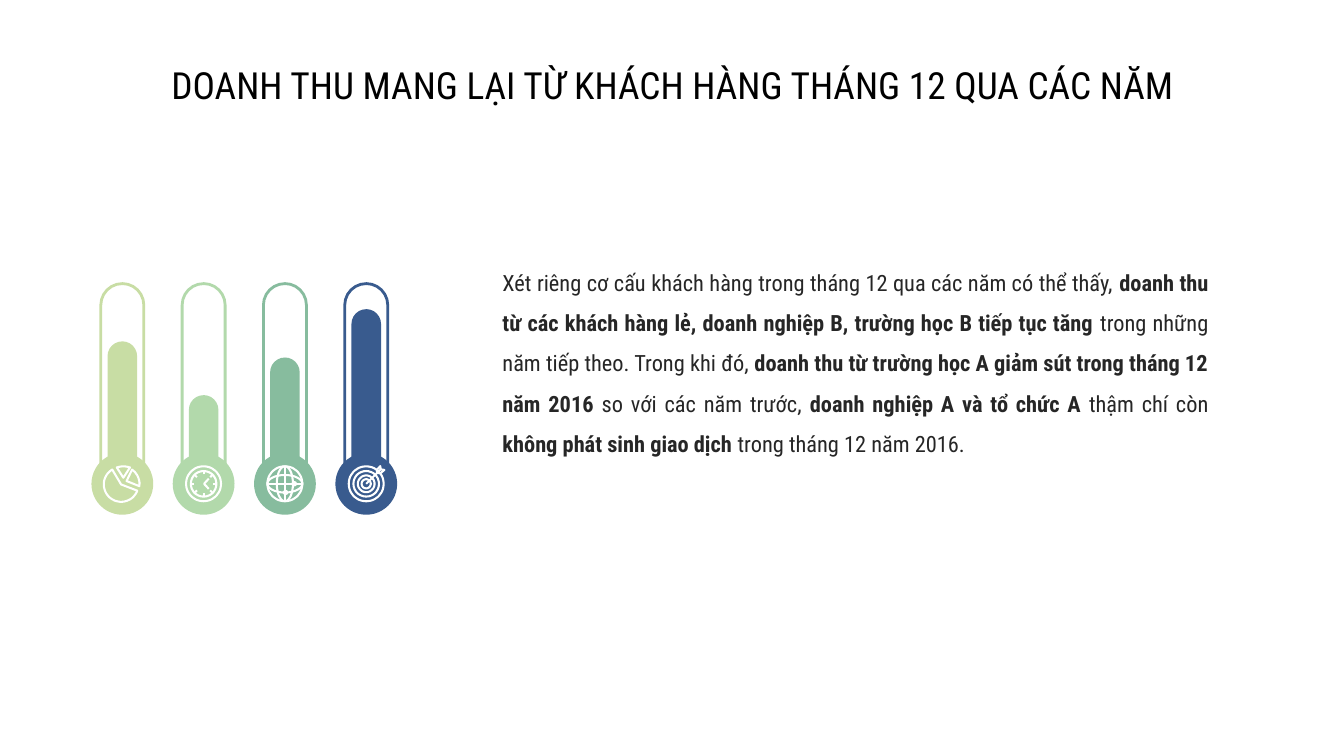
import math

import pptx
import pptx.dml.color
import pptx.enum.shapes
import pptx.enum.text
import pptx.util

Inches = pptx.util.Inches
Pt = pptx.util.Pt
RGBColor = pptx.dml.color.RGBColor
MSO_SHAPE = pptx.enum.shapes.MSO_SHAPE
PP_ALIGN = pptx.enum.text.PP_ALIGN

COLORS = {
    "lime": "C8DDA4",
    "mint": "B2D9AB",
    "green": "87BC9E",
    "blue": "395B8E",
    "white": "FFFFFF",
    "title": "000000",
    "body": "262626",
}
FONT = "Roboto Condensed"


def arc(x, y, width_radius, height_radius, start=0, end=360):
    """Points along an ellipse, in thousandths of an inch; angles in degrees."""
    steps = max(4, round(abs(end - start) / 6))
    angles = [math.radians(start + (end - start) * i / steps) for i in range(steps + 1)]
    return [(x + width_radius * math.cos(a), y + height_radius * math.sin(a)) for a in angles]


def paint(shape, fill=None, line=None, weight=1.5):
    shape.shadow.inherit = False
    if fill:
        shape.fill.solid()
        shape.fill.fore_color.rgb = RGBColor.from_string(COLORS[fill])
    else:
        shape.fill.background()
    if line:
        shape.line.color.rgb = RGBColor.from_string(COLORS[line])
        shape.line.width = Pt(weight)
    else:
        shape.line.fill.background()


deck = pptx.Presentation()
deck.slide_width = Inches(10)
deck.slide_height = Inches(10) * 9 // 16
page = deck.slides.add_slide(deck.slide_layouts[6])

# Title and commentary: runs are (text, bold)
texts = [
    {
        "at": (0.2, 0.36, 9.61, 0.63), "size": 20, "color": "title",
        "paragraph": {"alignment": PP_ALIGN.CENTER},
        "runs": [("DOANH THU MANG LẠI TỪ KHÁCH HÀNG THÁNG 12 QUA CÁC NĂM", False)],
    },
    {
        "at": (3.64, 1.8, 5.45, 1.56), "size": 12, "color": "body",
        "paragraph": {"alignment": PP_ALIGN.JUSTIFY, "line_spacing": 1.5},
        "runs": [
            ("Xét riêng cơ cấu khách hàng trong tháng 12 qua các năm có thể thấy, ", False),
            ("doanh thu từ các khách hàng lẻ, doanh nghiệp B, trường học B tiếp tục tăng", True),
            (" trong những năm tiếp theo. Trong khi đó, ", False),
            ("doanh thu từ trường học A giảm sút trong tháng 12 năm 2016 ", True),
            ("so với các năm trước, ", False),
            ("doanh nghiệp A và tổ chức A ", True),
            ("thậm chí còn ", False),
            ("không phát sinh giao dịch ", True),
            ("trong tháng 12 năm 2016.", False),
        ],
    },
]
for text in texts:
    box = page.shapes.add_textbox(*map(Inches, text["at"]))
    frame_format = {"word_wrap": True}
    for side in ("left", "top", "right", "bottom"):
        frame_format[f"margin_{side}"] = Inches(0.1)
    for name, value in frame_format.items():
        setattr(box.text_frame, name, value)
    para = box.text_frame.paragraphs[0]
    for name, value in text["paragraph"].items():
        setattr(para, name, value)
    for words, bold in text["runs"]:
        span = para.add_run()
        span.text = words
        for name, value in {"name": FONT, "size": Pt(text["size"]), "bold": bold}.items():
            setattr(span.font, name, value)
        span.font.color.rgb = RGBColor.from_string(COLORS[text["color"]])

# Each icon is a list of shapes, each shape a list of strokes around the bulb's centre
pie = [
    [[(-8, 5), *arc(-8, 5, 129, 129, 21, 239), (-8, 5)]],
    [[(32, -20), *arc(0, 0, 128, 128, 8, -55), (32, -20)]],
    [[(8, -45), *arc(8, 0, 130, 130, -112, -68), (8, -45)]],
]
ticks = []
for degrees in range(0, 360, 45):
    across, down = math.cos(math.radians(degrees)), math.sin(math.radians(degrees))
    ticks.append([(70 * across, 70 * down), (95 * across, 95 * down)])
clock = [
    [arc(0, 0, 130, 130)],
    [[(38, -38), (3, 0), (38, 38)]],
    [arc(0, 0, 95, 95), *ticks],
]
globe = [[
    arc(0, 0, 130, 130), arc(0, 0, 60, 130), arc(0, 0, 130, 65),
    [(-130, 0), (130, 0)], [(0, -130), (0, 130)],
    arc(70, 0, 12, 12), arc(5, 65, 12, 12),
]]
target = [[
    *[arc(0, 0, radius, radius) for radius in (130, 95, 62, 34)],
    [(0, 0), (108, -108)],
    [(80, -80), (80, -105), (105, -132), (108, -108), (135, -103), (108, -80), (80, -80)],
]]

# Thermometers stand at equal steps and share one bottom line
FIRST_CENTRE, STEP = 0.91, 0.605
TUBE_LENGTH, TUBE_WIDTH, TUBE_MIDDLE = 1.52, 0.32, 2.87
LEVEL_WIDTH, LEVEL_BOTTOM = 0.22, 3.58
BULB, BULB_MIDDLE = 0.46, 3.6

thermometers = [
    ("lime", 1.04, pie),
    ("mint", 0.64, clock),
    ("green", 0.92, globe),
    ("blue", 1.28, target),
]
for index, (color, level, icon) in enumerate(thermometers):
    centre = FIRST_CENTRE + index * STEP
    parts = [
        (MSO_SHAPE.ROUNDED_RECTANGLE, TUBE_LENGTH, TUBE_WIDTH, TUBE_MIDDLE, 270, {"line": color}),
        (MSO_SHAPE.ROUNDED_RECTANGLE, level, LEVEL_WIDTH, LEVEL_BOTTOM - level / 2, 270,
         {"fill": color}),
        (MSO_SHAPE.OVAL, BULB, BULB, BULB_MIDDLE, 180, {"fill": color}),
    ]
    for kind, width, height, middle, rotation, look in parts:
        part = page.shapes.add_shape(
            kind, Inches(centre - width / 2), Inches(middle - height / 2),
            Inches(width), Inches(height))
        part.rotation = rotation
        if kind == MSO_SHAPE.ROUNDED_RECTANGLE:
            part.adjustments[0] = 0.5
        paint(part, **look)

    for strokes in icon:
        builder = page.shapes.build_freeform(*strokes[0][0], scale=Inches(1) / 1000)
        for number, stroke in enumerate(strokes):
            if number:
                builder.move_to(*stroke[0])
            builder.add_line_segments(stroke[1:], close=False)
        drawing = builder.convert_to_shape(Inches(centre), Inches(BULB_MIDDLE))
        paint(drawing, line="white", weight=1.1)

deck.save("out.pptx")
